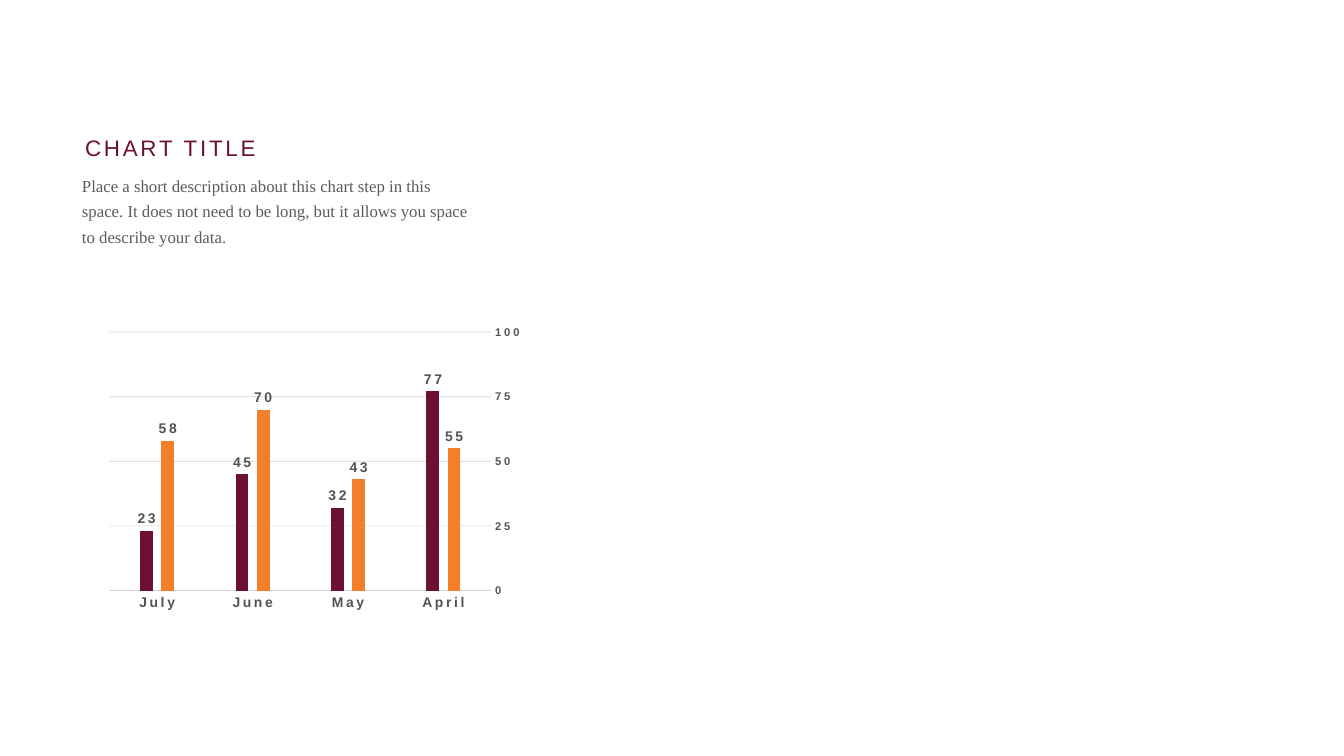
from lxml.etree import SubElement
from pptx import Presentation
from pptx.chart.data import CategoryChartData
from pptx.dml.color import RGBColor
from pptx.enum.chart import XL_AXIS_CROSSES as CROSSES
from pptx.enum.chart import XL_CHART_TYPE as CHART
from pptx.enum.chart import XL_LABEL_POSITION as LABEL
from pptx.enum.chart import XL_TICK_MARK as TICK
from pptx.enum.text import MSO_AUTO_SIZE as AUTO
from pptx.oxml import parse_xml
from pptx.oxml.ns import nsdecls, qn
from pptx.util import Emu, Pt

SCALE = 9071.43
COLORS = {"wine": "6C1035", "orange": "F47E29", "body": "585C5E",
          "label": "535353", "grid": "A7A7A7"}
MONTHS = ["April", "May", "June", "July"]
SERIES = [("Series 1", [55, 43, 70, 58], "orange"),
          ("Series 2", [77, 32, 45, 23], "wine")]
PLOT = {"x": 0.222, "y": 0.238, "w": 0.728, "h": 0.504}


def px(n):
    """Turn pixels into EMU."""
    return Emu(round(n * SCALE))


def color(name):
    """Look up a colour by name."""
    return RGBColor.from_string(COLORS[name])


def style_font(font, size, name, face="Arial", bold=False, spacing=0):
    """Set face, size, colour, weight and letter spacing in points."""
    font.name, font.size, font.bold = face, Pt(size), bold
    font.color.rgb = color(name)
    if spacing:
        font._rPr.set("spc", str(spacing * 100))


def add_text(s, box, text, size, name, face="Arial", spacing=0, leading=None):
    """Add a text box holding one run."""
    sp = s.shapes.add_textbox(*map(px, box))
    tf = sp.text_frame
    tf.word_wrap = True
    tf.auto_size = AUTO.SHAPE_TO_FIT_TEXT
    tf.margin_left = tf.margin_right = tf.margin_top = tf.margin_bottom = px(5)
    p = tf.paragraphs[0]
    if leading:
        p.line_spacing = Pt(leading)
    r = p.add_run()
    r.text = text
    style_font(r.font, size, name, face, spacing=spacing)


def set_plot_layout(chart):
    """Fix the inner plot area as fractions of the chart."""
    area = chart._chartSpace.chart.plotArea
    for old in area.findall(qn("c:layout")):
        area.remove(old)
    modes = '<c:xMode val="edge"/><c:yMode val="edge"/>'
    sizes = "".join(f'<c:{k} val="{v}"/>' for k, v in PLOT.items())
    area.insert(0, parse_xml(
        f'<c:layout {nsdecls("c")}><c:manualLayout><c:layoutTarget val="inner"/>'
        f"{modes}{sizes}</c:manualLayout></c:layout>"))


def style_axis(axis, size):
    """Drop ticks and axis line and style the tick labels."""
    axis.major_tick_mark = axis.minor_tick_mark = TICK.NONE
    axis.format.line.fill.background()
    style_font(axis.tick_labels.font, size, "label", bold=True, spacing=2)


def style_grid(axis):
    """Draw thin half-transparent gridlines."""
    axis.has_major_gridlines = True
    line = axis.major_gridlines.format.line
    line.width = Pt(0.5)
    line.color.rgb = color("grid")
    rgb = axis.major_gridlines._xAx.find(".//" + qn("c:majorGridlines")).find(
        ".//" + qn("a:srgbClr"))
    SubElement(rgb, qn("a:alpha")).set("val", "50000")


def style_series(series, name):
    """Fill the bars and put values above them."""
    series.format.fill.solid()
    series.format.fill.fore_color.rgb = color(name)
    labels = series.data_labels
    labels.show_value = True
    labels.position = LABEL.OUTSIDE_END
    labels.number_format, labels.number_format_is_linked = "#,##0", False
    style_font(labels.font, 10, "label", bold=True, spacing=2)


def add_column_chart(s, box):
    """Add the clustered columns with months running right to left."""
    data = CategoryChartData()
    data.categories = MONTHS
    for name, values, _ in SERIES:
        data.add_series(name, values)
    chart = s.shapes.add_chart(CHART.COLUMN_CLUSTERED, *map(px, box), data).chart
    chart.has_legend = chart.has_title = False
    style_font(chart.font, 10, "wine")
    months, values = chart.category_axis, chart.value_axis
    style_axis(months, 10)
    months.reverse_order = True
    months.crosses = CROSSES.MAXIMUM
    style_axis(values, 8)
    values.minimum_scale, values.maximum_scale, values.major_unit = 0, 100, 25
    style_grid(values)
    plot = chart.plots[0]
    plot.gap_width, plot.overlap, plot.vary_by_categories = 478, -64, False
    for series, (_, _, name) in zip(plot.series, SERIES):
        style_series(series, name)
    set_plot_layout(chart)


def main():
    """Build the slide and save it."""
    prs = Presentation()
    prs.slide_width, prs.slide_height = px(1344), px(756)
    s = prs.slides.add_slide(prs.slide_layouts[6])
    add_text(s, (80, 129, 203, 37), "CHART TITLE", 16, "wine", spacing=2)
    add_text(s, (77, 166, 397, 87),
             "Place a short description about this chart step in this space. "
             "It does not need to be long, but it allows you space to describe "
             "your data.", 12, "body", "Times New Roman", leading=18)
    add_column_chart(s, (-7, 210, 527, 513))
    prs.save("out.pptx")


if __name__ == "__main__":
    main()
